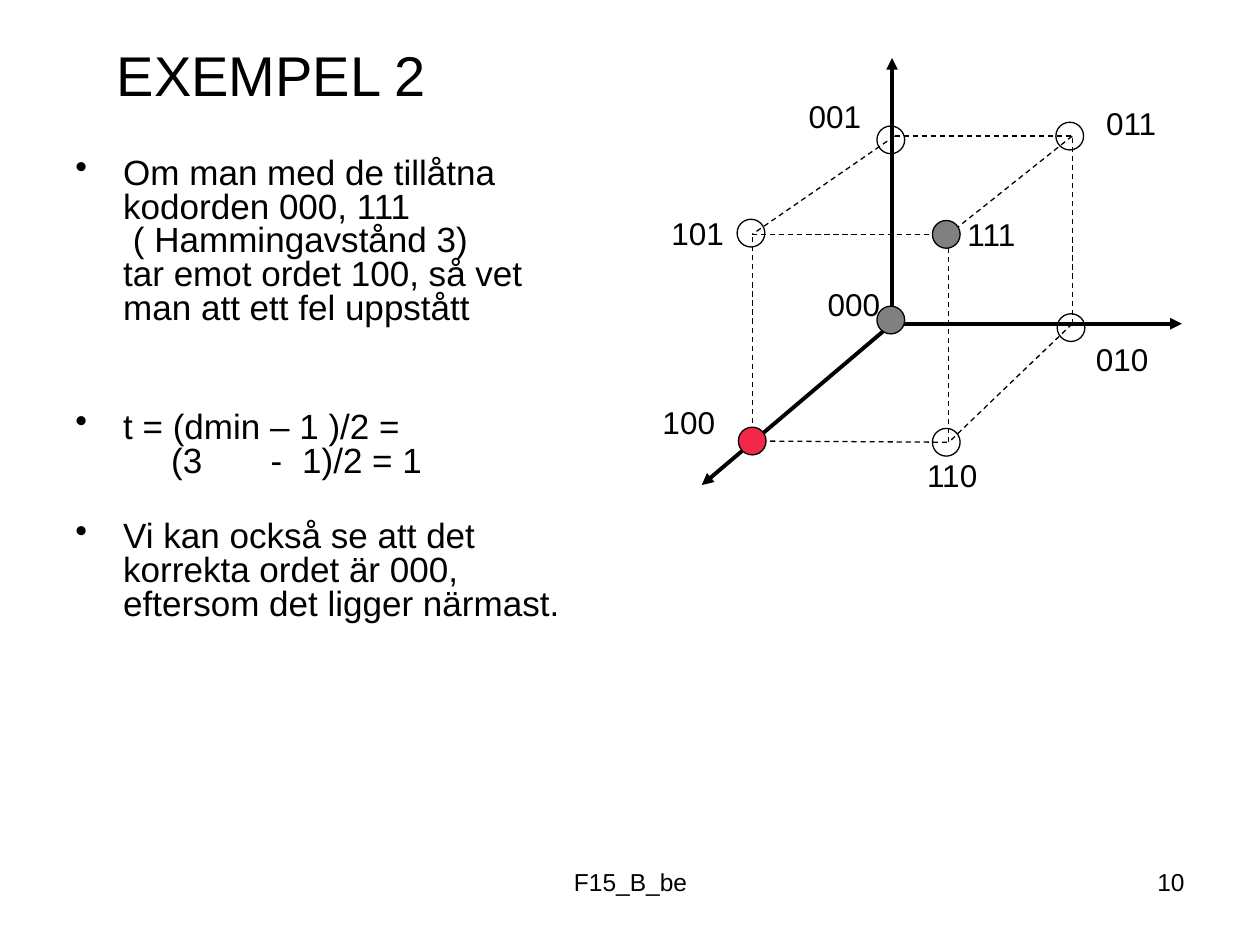
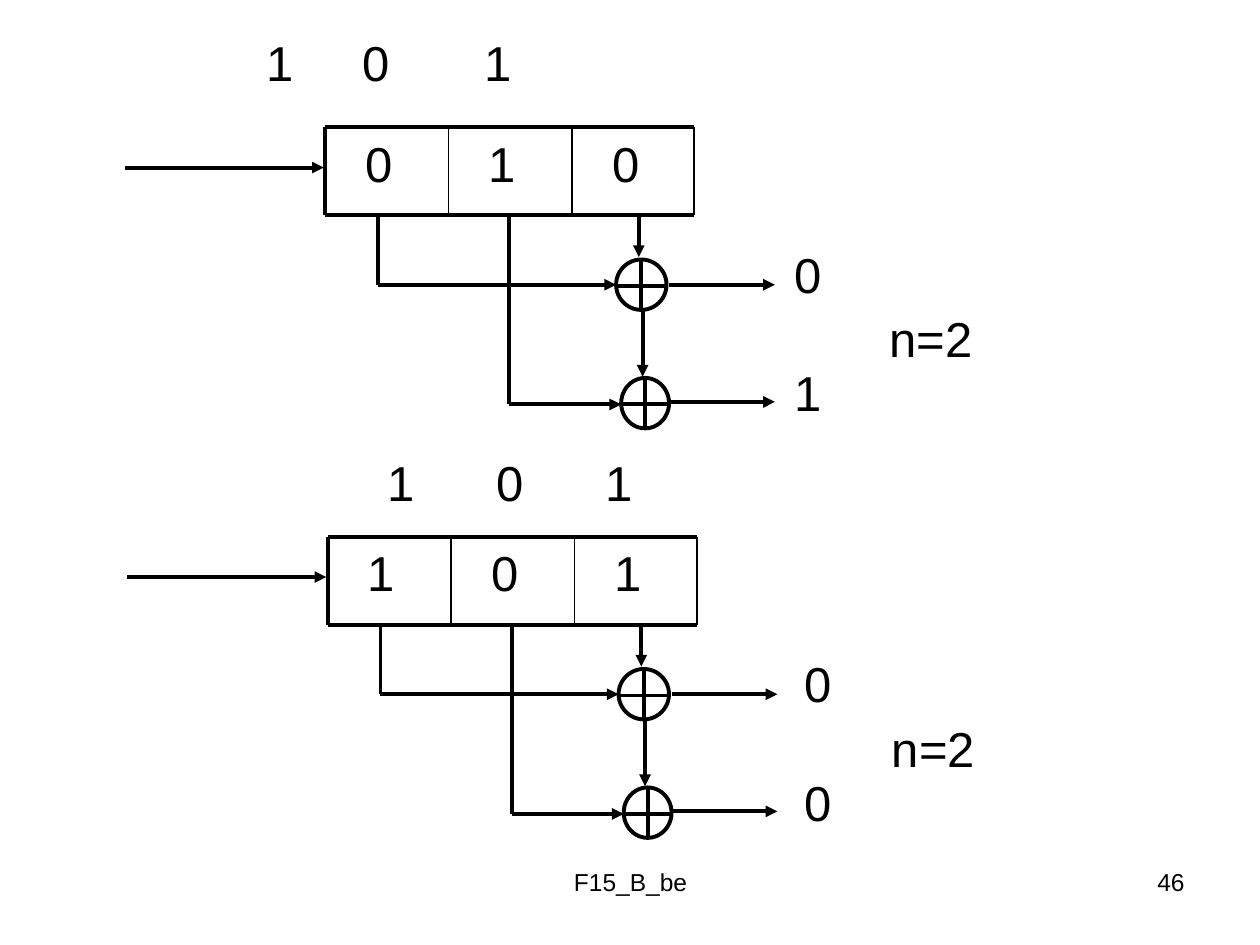
from collections import namedtuple

from lxml import etree
from pptx import Presentation
from pptx.dml.color import RGBColor
from pptx.enum.dml import MSO_LINE
from pptx.enum.shapes import MSO_CONNECTOR, MSO_SHAPE
from pptx.enum.text import MSO_ANCHOR, PP_ALIGN
from pptx.oxml.ns import qn
from pptx.util import Emu, Pt

PX = 9144
BLACK = RGBColor(0, 0, 0)
GRAY = RGBColor(0x80, 0x80, 0x80)
RED = RGBColor(0xF3, 0x27, 0x49)
FONT = "Arial"
STRAIGHT = MSO_CONNECTOR.STRAIGHT
OVAL = MSO_SHAPE.OVAL
DASH = MSO_LINE.DASH
TOP = MSO_ANCHOR.TOP
LEFT, CENTER, RIGHT = PP_ALIGN.LEFT, PP_ALIGN.CENTER, PP_ALIGN.RIGHT
THICK, MEDIUM, THIN = 2.25, 1, 0.75
BODY_SIZE, LABEL_SIZE, TITLE_SIZE, BIT_SIZE, FOOTER_SIZE = 20, 18, 32, 28, 14
BODY_PITCH = 19.25
BULLET_INDENT = 38
NODE = 22
CELL_WIDTH, CELL_HEIGHT = 98, 70

Corner = namedtuple("Corner", "line circle label fill")

CUBE = {
    "000": Corner((708, 257), (707, 254), (647, 221), GRAY),
    "001": Corner((710, 108), (707, 111), (632, 72), None),
    "010": Corner((851, 257), (850, 260), (860, 265), None),
    "011": Corner((851, 108), (849, 108), (868, 78), None),
    "100": Corner((597, 350), (597, 350), (516, 315), RED),
    "101": Corner((597, 186), (596, 185), (523, 165), None),
    "110": Corner((753, 351), (751, 351), (726, 357), None),
    "111": Corner((753, 186), (751, 186), (758, 166), GRAY),
}
AXIS_ENDS = [(938, 257), (557, 385), (708, 46)]

BODY = [
    ("Om man med de tillåtna\vkodorden 000, 111\v ( Hammingavstånd 3)\v"
     "tar emot ordet 100, så vet\vman att ett fel uppstått", 0, True, ()),
    ("t = (dmin – 1 )/2 =", 49, True, ()),
    ("\t(3\t-\t1)/2 = 1", 0, False, (76, 155, 180)),
    ("Vi kan också se att det\vkorrekta ordet är 000,\v"
     "eftersom det ligger närmast.", 24, True, ()),
]


def px(length):
    return Emu(length * PX)


def apply(target, values):
    for name, value in values.items():
        setattr(target, name, value)


def set_font(para, size):
    for span in para.runs:
        apply(span.font, {"name": FONT, "size": Pt(size)})
        span.font.color.rgb = BLACK


def add_tabs(para, stops):
    if stops:
        tab_list = etree.SubElement(para._p.get_or_add_pPr(), qn("a:tabLst"))
        for stop in stops:
            etree.SubElement(tab_list, qn("a:tab"), pos=str(px(stop)), algn="l")


def add_bullet(para):
    properties = para._p.get_or_add_pPr()
    properties.set("marL", str(px(BULLET_INDENT)))
    properties.set("indent", str(-px(BULLET_INDENT)))
    etree.SubElement(properties, qn("a:buChar"), char="•")


def add_box(page, left, top, width, height, wrap=True, inset=10):
    box = page.shapes.add_textbox(px(left), px(top), px(width), px(height))
    apply(box.text_frame, {
        "word_wrap": wrap, "vertical_anchor": TOP,
        "margin_left": px(inset), "margin_right": px(10),
        "margin_top": px(5), "margin_bottom": px(5),
    })
    return box.text_frame


def add_label(page, text, area, size, align=LEFT, wrap=False, inset=10, tabs=()):
    para = add_box(page, *area, wrap, inset).paragraphs[0]
    add_tabs(para, tabs)
    apply(para, {"text": text, "alignment": align})
    set_font(para, size)


def add_paragraphs(page, area, items, size, pitch=None):
    frame = add_box(page, *area)
    for index, (text, gap, bulleted, tabs) in enumerate(items):
        para = frame.add_paragraph() if index else frame.paragraphs[0]
        para.text = text
        if pitch:
            para.line_spacing = Pt(pitch)
        if index:
            para.space_before = Pt(gap)
        if bulleted:
            add_bullet(para)
        add_tabs(para, tabs)
        set_font(para, size)


def add_line(page, start, end, weight=THICK, arrow=False, dash=None):
    line = page.shapes.add_connector(STRAIGHT, *map(px, start + end))
    line.line.color.rgb = BLACK
    apply(line.line, {"width": Pt(weight), "dash_style": dash})
    if arrow:
        etree.SubElement(line.line._get_or_add_ln(), qn("a:tailEnd"), type="triangle")
    etree.SubElement(line._element.spPr, qn("a:effectLst"))


def add_circle(page, left, top, width, height, weight, fill=None):
    circle = page.shapes.add_shape(OVAL, px(left), px(top), px(width), px(height))
    circle.shadow.inherit = False
    if fill is None:
        circle.fill.background()
    else:
        circle.fill.solid()
        circle.fill.fore_color.rgb = fill
    circle.line.color.rgb = BLACK
    circle.line.width = Pt(weight)


def add_footer(page, number):
    add_label(page, "F15_B_be", (342, 683, 317, 52), FOOTER_SIZE, CENTER, True)
    add_label(page, str(number), (717, 683, 233, 52), FOOTER_SIZE, RIGHT, True)


def add_cube(page):
    for end in AXIS_ENDS:
        add_line(page, CUBE["000"].line, end, arrow=True)
    codes = [code for code in CUBE if code != "000"]
    for first in codes:
        for second in codes:
            distance = sum(a != b for a, b in zip(first, second))
            if first < second and distance == 1:
                add_line(page, CUBE[first].line, CUBE[second].line, THIN, dash=DASH)
    for code, corner in CUBE.items():
        x, y = corner.circle
        add_label(page, code, (*corner.label, 70, 40), LABEL_SIZE, wrap=True)
        add_circle(page, x - NODE // 2, y - NODE // 2, NODE, NODE, THIN, corner.fill)


def add_adder(page, left, top, width, height):
    add_circle(page, left, top, width, height, THICK)
    middle_x, middle_y = left + width // 2, top + height // 2 + 1
    add_line(page, (left + 1, middle_y), (left + width, middle_y))
    add_line(page, (middle_x, top + 1), (middle_x, top + height - 1))


def add_register(page, x, y, bits):
    right, bottom = x + 3 * CELL_WIDTH - 1, y + CELL_HEIGHT
    for index, bit in enumerate(bits):
        left = x + index * CELL_WIDTH
        add_label(page, bit, (left, y, CELL_WIDTH, CELL_HEIGHT), BIT_SIZE, inset=32, wrap=True)
        edge = min(left + CELL_WIDTH, right)
        add_line(page, (edge, y), (edge, bottom), MEDIUM)
    for start, end in [((x, y), (right, y)), ((x, bottom), (right, bottom)),
                       ((x, y), (x, bottom))]:
        add_line(page, start, end)


def add_encoder(page, x, y, bits, outputs, output_left):
    add_register(page, x, y, bits)
    add_adder(page, x + 231, y + 105, 40, 40)
    add_adder(page, x + 235, y + 199, 38, 40)
    bottom, upper, lower = y + CELL_HEIGHT, y + 125, y + 220
    first_tap, second_tap = x + 42, x + 146
    add_line(page, (first_tap, bottom), (first_tap, upper))
    add_line(page, (second_tap, bottom), (second_tap, lower))
    arrows = [
        ((x - 159, y + 32), (x - 1, y + 32)),
        ((x + 249, bottom), (x + 249, y + 103)),
        ((x + 252, y + 145), (x + 252, y + 198)),
        ((first_tap, upper), (x + 231, upper)),
        ((second_tap, lower), (x + 235, lower)),
        ((x + 273, upper), (x + 357, upper)),
        ((x + 273, y + 218), (x + 357, y + 218)),
    ]
    for start, end in arrows:
        add_line(page, start, end, arrow=True)
    items = [(bit, 34, False, ()) for bit in outputs]
    add_paragraphs(page, (output_left, y + 88, 50, 150), items, BIT_SIZE)
    add_label(page, "n=2", (x + 438, y + 139, 100, 57), BIT_SIZE, wrap=True)


def add_input_bits(page, left, top, tabs):
    add_label(page, "1\t0\t1", (left, top, 269, 57), BIT_SIZE, wrap=True, tabs=tabs)


def build_code_page(page):
    add_label(page, "EXEMPEL 2", (83, 27, 267, 64), TITLE_SIZE)
    add_paragraphs(page, (50, 121, 467, 342), BODY, BODY_SIZE, BODY_PITCH)
    add_cube(page)
    add_footer(page, 10)


def build_encoder_page(page):
    add_input_bits(page, 202, 21, (76, 173))
    add_encoder(page, 258, 101, "010", "01", 621)
    add_input_bits(page, 298, 354, (86, 173))
    add_encoder(page, 260, 426, "101", "00", 629)
    add_footer(page, 46)


def main():
    deck = Presentation()
    apply(deck, {"slide_width": px(1000), "slide_height": px(750)})
    blank = deck.slide_layouts[6]
    for build in (build_code_page, build_encoder_page):
        build(deck.slides.add_slide(blank))
    deck.save("out.pptx")


if __name__ == "__main__":
    main()
